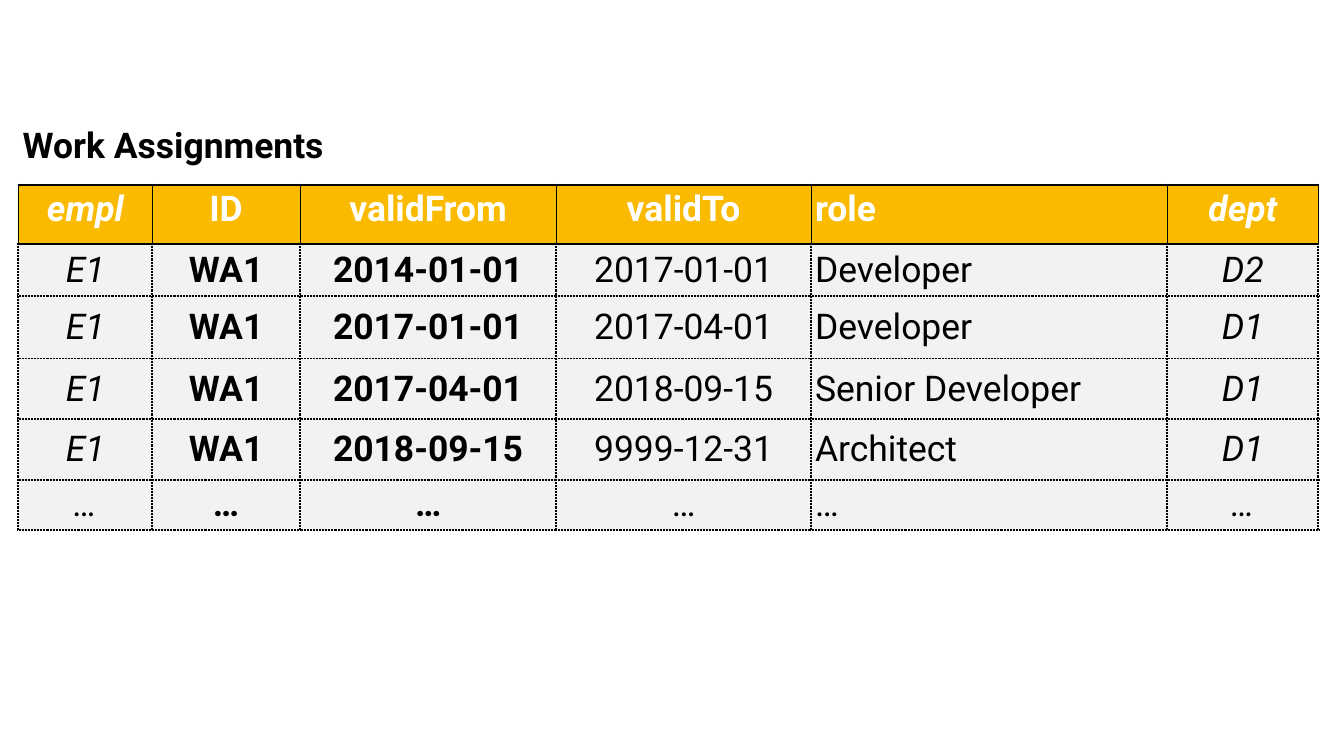
from lxml.etree import SubElement
from pptx import Presentation
from pptx.dml.color import RGBColor
from pptx.enum.text import MSO_ANCHOR, PP_ALIGN
from pptx.oxml.ns import qn
from pptx.util import Inches, Pt

TITLE = "Work Assignments"
# heading, width, centred, bold, italic
COLUMNS = [
    ("empl", 1.89, True, False, True),
    ("ID", 2.08, True, True, False),
    ("validFrom", 3.62, True, True, False),
    ("validTo", 3.59, True, False, False),
    ("role", 5.03, False, False, False),
    ("dept", 2.13, True, False, True),
]
ASSIGNMENTS = [
    ("E1", "WA1", "2014-01-01", "2017-01-01", "Developer", "D2"),
    ("E1", "WA1", "2017-01-01", "2017-04-01", "Developer", "D1"),
    ("E1", "WA1", "2017-04-01", "2018-09-15", "Senior Developer", "D1"),
    ("E1", "WA1", "2018-09-15", "9999-12-31", "Architect", "D1"),
    ("…",) * len(COLUMNS),
]
ROW_HEIGHTS = [0.89, 0.83, 0.74, 0.88, 0.86, 0.85, 0.69]
LEFT, TOP, INSET = 0.26, 1.72, 0.06
BLACK, WHITE, AMBER, GREY = "000000", "FFFFFF", "F9BA00", "F2F2F2"
SOLID, THIN, EDGE, DOTTED = (2.25, "solid"), (0.25, "solid"), (1, "solid"), (2.25, "dot")


def rgb(code):
    """Turn a hex string into a colour."""
    return RGBColor.from_string(code)


def set_borders(cell, **sides):
    """Draw cell borders given as L, R, T, B = (points, dash)."""
    tc_pr = cell._tc.get_or_add_tcPr()
    for place, side in enumerate(s for s in "LRTB" if s in sides):
        width, dash = sides[side]
        ln = SubElement(tc_pr, qn(f"a:ln{side}"), w=str(Pt(width)))
        color = SubElement(ln, qn("a:solidFill"))
        SubElement(color, qn("a:srgbClr"), val=BLACK)
        SubElement(ln, qn("a:prstDash"), val=dash)
        tc_pr.insert(place, ln)


def write(cell, text, color, fill=None, centred=False, middle=False, **font):
    """Fill a cell and write its text."""
    for side in ("left", "right", "top", "bottom"):
        setattr(cell, f"margin_{side}", Inches(INSET))
    cell.vertical_anchor = MSO_ANCHOR.MIDDLE if middle else MSO_ANCHOR.TOP
    if fill:
        cell.fill.solid()
        cell.fill.fore_color.rgb = rgb(fill)
    else:
        cell.fill.background()
    p = cell.text_frame.paragraphs[0]
    p.alignment = PP_ALIGN.CENTER if centred else PP_ALIGN.LEFT
    r = p.add_run()
    r.text = text
    for name, value in {"name": "Roboto", "size": Pt(36), **font}.items():
        setattr(r.font, name, value)
    r.font.color.rgb = rgb(color)


prs = Presentation()
prs.slide_width, prs.slide_height = Inches(18.96), Inches(10.67)
s = prs.slides.add_slide(prs.slide_layouts[6])
widths = [column[1] for column in COLUMNS]
table = s.shapes.add_table(
    len(ROW_HEIGHTS), len(COLUMNS), Inches(LEFT), Inches(TOP),
    Inches(sum(widths)), Inches(sum(ROW_HEIGHTS))).table
table.first_row = table.horz_banding = False
for column, width in zip(table.columns, widths):
    column.width = Inches(width)
for row, height in zip(table.rows, ROW_HEIGHTS):
    row.height = Inches(height)

table.cell(0, 0).merge(table.cell(0, len(COLUMNS) - 1))
write(table.cell(0, 0), TITLE, BLACK, bold=True)
last = len(COLUMNS) - 1
for c, (heading, _, centred, bold, italic) in enumerate(COLUMNS):
    set_borders(table.cell(0, c), B=SOLID)
    cell = table.cell(1, c)
    write(cell, heading, WHITE, AMBER, centred, bold=True, italic=italic)
    set_borders(cell, L=THIN if c else EDGE, R=EDGE if c == last else THIN,
                T=SOLID, B=SOLID)
    for n, assignment in enumerate(ASSIGNMENTS):
        cell = table.cell(n + 2, c)
        write(cell, assignment[c], BLACK, GREY, centred, middle=True,
              bold=bold, italic=italic)
        set_borders(cell, L=DOTTED, R=DOTTED, T=DOTTED if n else SOLID, B=DOTTED)

prs.save("out.pptx")
